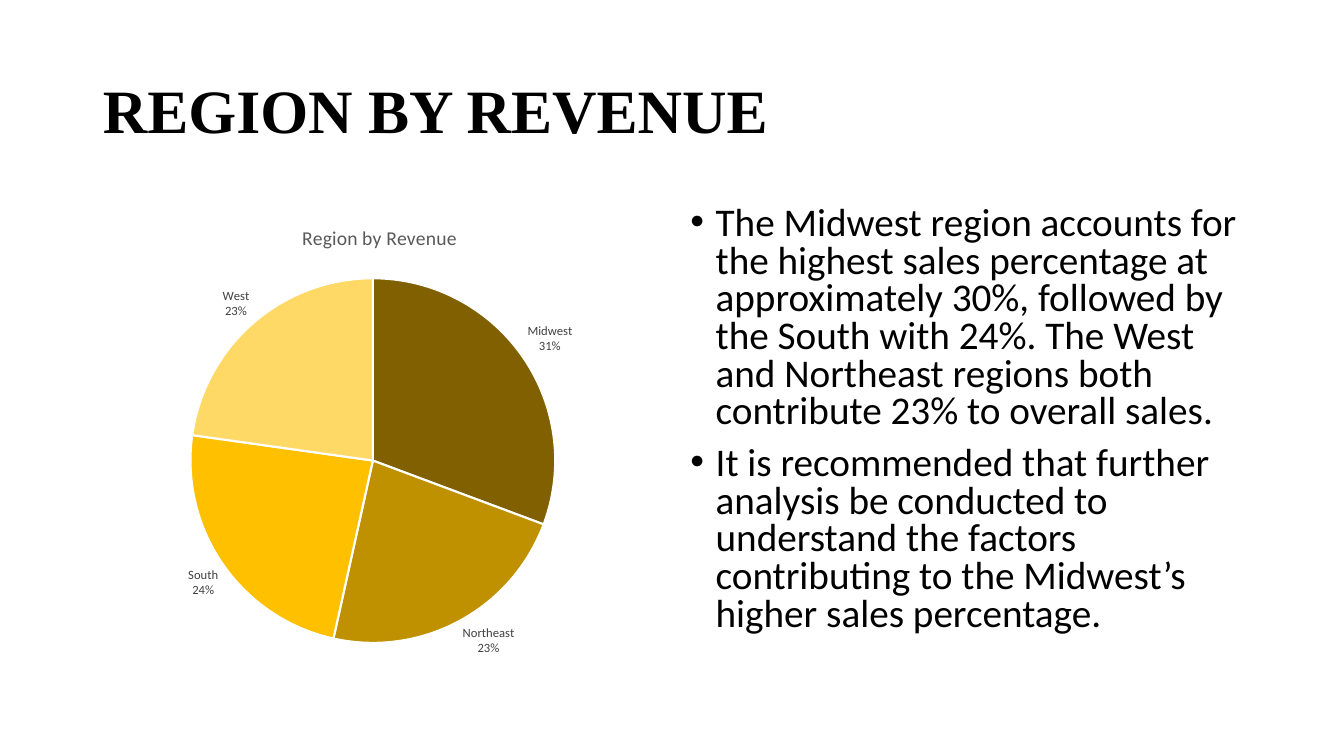
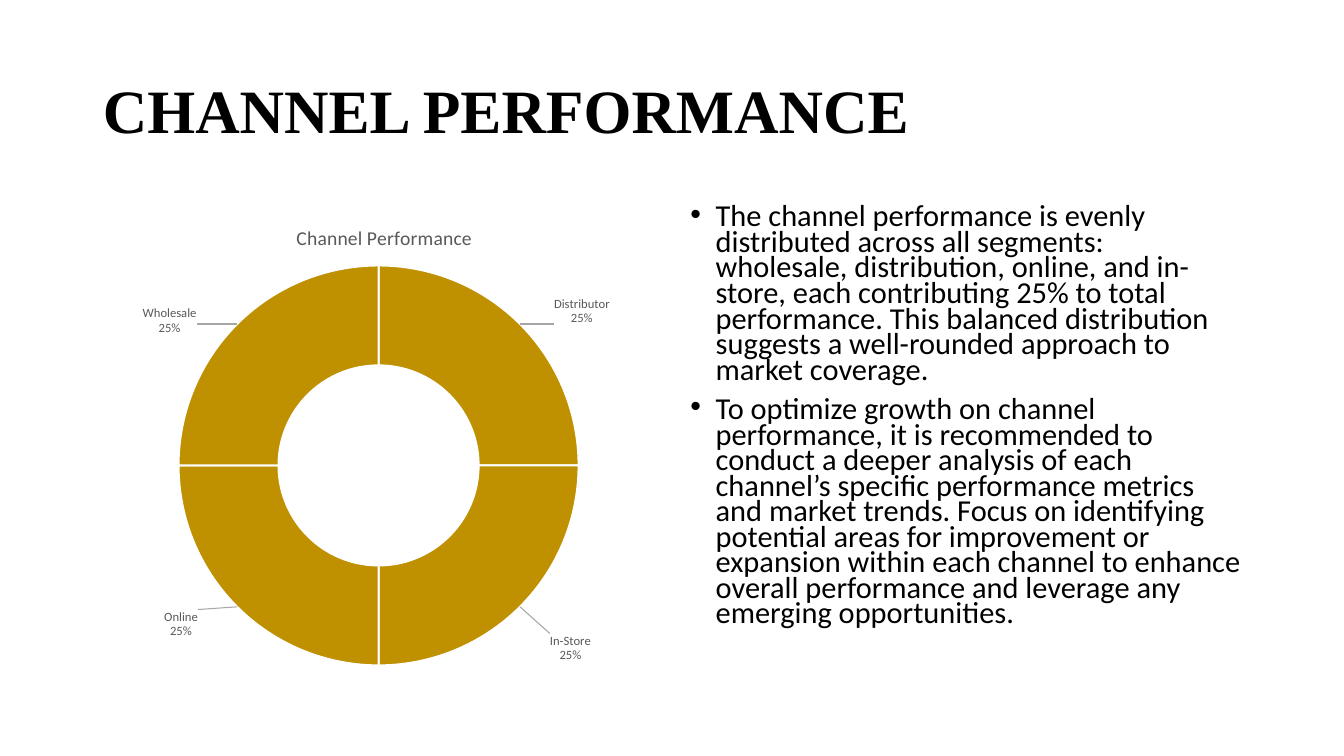
import copy

import pptx
import pptx.chart.data
import pptx.dml.color
import pptx.enum.chart
import pptx.enum.text
import pptx.oxml
import pptx.oxml.ns
import pptx.util
from pptx.util import Inches

COLORS = {
    "text": "000000", "white": "FFFFFF", "chart_title": "595959",
    "label": "404040", "leader": "A6A6A6",
    "brown": "806000", "ochre": "BF9000", "gold": "FFC000", "sand": "FFD966",
}
TITLE_FONT = {"name": "Times New Roman", "size": 44, "bold": True, "color": "text"}
BODY_FONT = {"name": "Calibri", "color": "text"}
CHART_TITLE_FONT = {"name": "Calibri", "size": 14, "bold": False, "color": "chart_title"}
LABEL_FONT = {"name": "Calibri", "size": 9}

# Boxes: left, top, width, height in inches
TITLE_BOX = (0.92, 0.4, 11.5, 1.45)
CHART_BOX = (0.92, 2, 5.67, 4.76)
TEXT_BOX = (6.75, 2, 5.67, 4.76)

REGION = {
    "title": "REGION BY REVENUE",
    "chart": {
        "kind": pptx.enum.chart.XL_CHART_TYPE.PIE,
        "title": "Region by Revenue",
        "title_at": (0.36, 0.04),
        "plot_at": (0.17, 0.16, 0.64, 0.76),
        "values": {"Midwest": 31, "Northeast": 23, "South": 24, "West": 23},
        "fills": ["brown", "ochre", "gold", "sand"],
        "label_color": "label",
        "label_shifts": [],
    },
    "text_size": 28,
    "line_spacing": 0.8,
    "points": [
        "The Midwest region accounts for the highest sales percentage at approximately 30%, "
        "followed by the South with 24%. The West and Northeast regions both contribute 23% "
        "to overall sales.",
        "It is recommended that further analysis be conducted to understand the factors "
        "contributing to the Midwest’s higher sales percentage.",
    ],
}
CHANNEL = {
    "title": "CHANNEL PERFORMANCE",
    "chart": {
        "kind": pptx.enum.chart.XL_CHART_TYPE.DOUGHNUT,
        "title": "Channel Performance",
        "title_at": (0.35, 0.04),
        "plot_at": (0.15, 0.13, 0.7, 0.84),
        "values": {"Distributor": 25, "In-Store": 25, "Online": 25, "Wholesale": 25},
        "fills": ["ochre"] * 4,
        "label_color": "chart_title",
        "label_shifts": [(0.17, -0.1), (0.15, 0.16), (-0.16, 0.11), (-0.18, -0.08)],
    },
    "text_size": 21.7,
    "line_spacing": 0.7,
    "points": [
        "The channel performance is evenly distributed across all segments: wholesale, "
        "distribution, online, and in-store, each contributing 25% to total performance. "
        "This balanced distribution suggests a well-rounded approach to market coverage.",
        "To optimize growth on channel performance, it is recommended to conduct a deeper "
        "analysis of each channel’s specific performance metrics and market trends. Focus on "
        "identifying potential areas for improvement or expansion within each channel to "
        "enhance overall performance and leverage any emerging opportunities.",
    ],
}


def rgb(color):
    return pptx.dml.color.RGBColor.from_string(COLORS[color])


def format_font(font, formats):
    for name, value in formats.items():
        if name == "color":
            font.color.rgb = rgb(value)
        else:
            setattr(font, name, pptx.util.Pt(value) if name == "size" else value)


def chart_xml(tag, content=""):
    return pptx.oxml.parse_xml(
        f'<c:{tag} {pptx.oxml.ns.nsdecls("c", "a")}>{content}</c:{tag}>')


def find(element, tag):
    return element.find(pptx.oxml.ns.qn(tag))


def manual_layout(position, mode="edge", target=""):
    """Layout from fractions of the chart: x, y and optionally width, height."""
    modes = f'<c:xMode val="{mode}"/><c:yMode val="{mode}"/>' if mode else ""
    sizes = "".join(f'<c:{tag} val="{value}"/>' for tag, value in zip("xywh", position))
    return chart_xml("layout", f"<c:manualLayout>{target}{modes}{sizes}</c:manualLayout>")


def replace_layout(parent, layout, index):
    old_layout = find(parent, "c:layout")
    if old_layout is not None:
        parent.remove(old_layout)
    parent.insert(index, layout)


def add_title(slide, box, text):
    title = slide.shapes.title
    title.left, title.top, title.width, title.height = map(Inches, box)
    frame = title.text_frame
    frame.text = text
    frame.word_wrap = True
    frame.auto_size = pptx.enum.text.MSO_AUTO_SIZE.NONE
    frame.vertical_anchor = pptx.enum.text.MSO_ANCHOR.MIDDLE
    heading = frame.paragraphs[0]
    heading.alignment = pptx.enum.text.PP_ALIGN.LEFT
    heading.line_spacing = 0.9
    format_font(heading.runs[0].font, TITLE_FONT)


def add_points(slide, box, points, size, line_spacing):
    frame = slide.shapes.add_textbox(*map(Inches, box)).text_frame
    frame.word_wrap = True
    for index, text in enumerate(points):
        point = frame.add_paragraph() if index else frame.paragraphs[0]
        # Hanging bullet
        properties = point._p.get_or_add_pPr()
        properties.set("marL", str(Inches(0.25)))
        properties.set("indent", str(-Inches(0.25)))
        for bullet in ('buFont typeface="Arial"', 'buChar char="•"'):
            tag, attribute = bullet.split(" ")
            properties.append(pptx.oxml.parse_xml(
                f'<a:{tag} {pptx.oxml.ns.nsdecls("a")} {attribute}/>'))
        point.line_spacing = line_spacing
        if index:
            point.space_before = pptx.util.Pt(10)
        run = point.add_run()
        run.text = text
        format_font(run.font, {**BODY_FONT, "size": size})


def add_labels(series, color, shifts):
    labels = series.data_labels
    formats = {"show_value": False, "show_category_name": True, "show_percentage": True,
               "number_format": "0%", "number_format_is_linked": False}
    for name, value in formats.items():
        setattr(labels, name, value)
    format_font(labels.font, {**LABEL_FONT, "color": color})
    group = labels._element
    find(group, "c:showBubbleSize").addnext(chart_xml("separator", "\n"))
    if not shifts:
        labels.position = pptx.enum.chart.XL_LABEL_POSITION.OUTSIDE_END
        return
    # Labels moved off the ring, joined to it by leader lines
    shared = [part for part in group if not part.tag.endswith("showLeaderLines")]
    for index, shift in enumerate(shifts):
        label = chart_xml("dLbl", f'<c:idx val="{index}"/>')
        label.append(manual_layout(shift, mode=""))
        label.extend(copy.deepcopy(part) for part in shared)
        group.insert(index, label)
    group.append(chart_xml(
        "leaderLines",
        '<c:spPr><a:ln w="9525"><a:solidFill>'
        f'<a:srgbClr val="{COLORS["leader"]}"/></a:solidFill></a:ln></c:spPr>'))


def add_share_chart(slide, box, content):
    data = pptx.chart.data.CategoryChartData()
    data.categories = list(content["values"])
    data.add_series("Series 1", list(content["values"].values()))
    chart = slide.shapes.add_chart(content["kind"], *map(Inches, box), data).chart
    chart.has_legend = False
    format_font(chart.font, {**BODY_FONT, "size": 10})

    # Chart title
    chart.has_title = True
    title = chart.chart_title
    title.include_in_layout = False
    title.text_frame.text = content["title"]
    format_font(title.text_frame.paragraphs[0].runs[0].font, CHART_TITLE_FONT)
    replace_layout(title._element, manual_layout(content["title_at"]), 1)

    # Slices
    plot = chart.plots[0]
    plot.vary_by_categories = True
    series = plot.series[0]
    for index, color in enumerate(content["fills"]):
        slice_format = series.points[index].format
        slice_format.fill.solid()
        slice_format.fill.fore_color.rgb = rgb(color)
        slice_format.line.color.rgb = rgb("white")
        slice_format.line.width = pptx.util.Pt(1.5)
    add_labels(series, content["label_color"], content["label_shifts"])
    replace_layout(
        plot._element.getparent(),
        manual_layout(content["plot_at"], target='<c:layoutTarget val="inner"/>'), 0)


def add_chart_slide(deck, content):
    slide = deck.slides.add_slide(deck.slide_layouts[5])
    add_title(slide, TITLE_BOX, content["title"])
    add_points(slide, TEXT_BOX, content["points"], content["text_size"],
               content["line_spacing"])
    add_share_chart(slide, CHART_BOX, content["chart"])


def main():
    deck = pptx.Presentation()
    deck.slide_width, deck.slide_height = Inches(13.33), Inches(7.5)
    for content in (REGION, CHANNEL):
        add_chart_slide(deck, content)
    deck.save("out.pptx")


if __name__ == "__main__":
    main()
